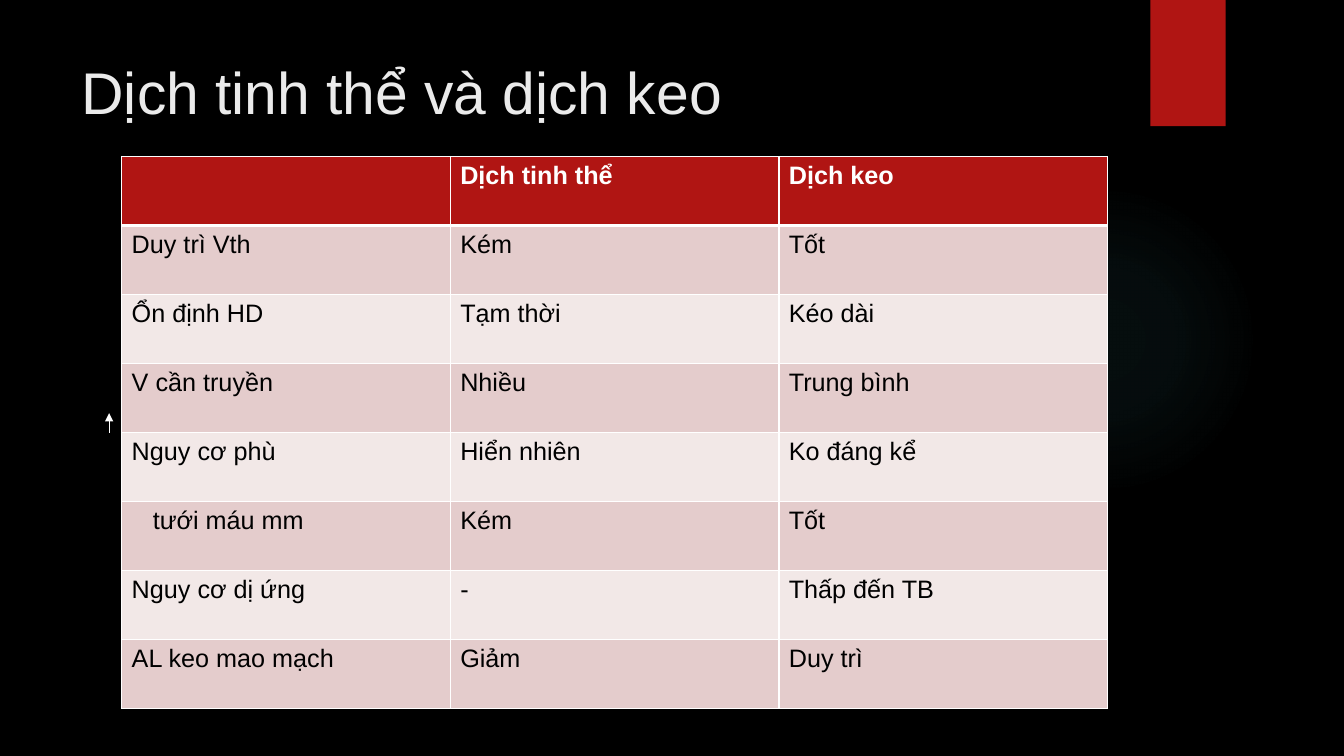
from lxml import etree
from pptx import Presentation
from pptx.dml.color import RGBColor
from pptx.enum.shapes import MSO_CONNECTOR, MSO_SHAPE
from pptx.enum.text import MSO_ANCHOR, MSO_AUTO_SIZE, PP_ALIGN
from pptx.oxml import parse_xml
from pptx.oxml.ns import nsdecls, qn
from pptx.util import Cm, Pt

STRAIGHT = MSO_CONNECTOR.STRAIGHT
ELLIPSE, RECTANGLE = MSO_SHAPE.OVAL, MSO_SHAPE.RECTANGLE
TOP, LEFT = MSO_ANCHOR.TOP, PP_ALIGN.LEFT
NO_AUTOFIT = MSO_AUTO_SIZE.NONE

TITLE = "Dịch tinh thể và dịch keo"
ROWS = [
    ("", "Dịch tinh thể", "Dịch keo"),
    ("Duy trì Vth", "Kém", "Tốt"),
    ("Ổn định HD", "Tạm thời", "Kéo dài"),
    ("V cần truyền", "Nhiều", "Trung bình"),
    ("Nguy cơ phù", "Hiển nhiên", "Ko đáng kể"),
    ("tưới máu mm", "Kém", "Tốt"),
    ("Nguy cơ dị ứng", "-", "Thấp đến TB"),
    ("AL keo mao mạch", "Giảm", "Duy trì"),
]
INDENTED = "tưới máu mm"

FONT = "Arial"
BLACK, WHITE, RED, PALE = "000000", "FFFFFF", "B01513", "EBEBEB"
BANDS = ["F2E8E7", "E4CCCC"]
GLOW = "50B9C1"
GLOW_STOPS = [(0, 7), (36, 6), (69, 0)]  # position and opacity, percent

COLUMN_WIDTH, ROW_HEIGHT = 8.28, 1.74
THIN, THICK = 1, 3


def color(hex_text):
    return RGBColor.from_string(hex_text)


def add_run(para, text, size, hex_text, bold=False):
    span = para.add_run()
    span.text = text
    span.font.name = FONT
    span.font.size = Pt(size)
    span.font.bold = bold
    span.font.color.rgb = color(hex_text)


def add_plain_shape(page, kind, left, top, width, height):
    shape = page.shapes.add_shape(kind, Cm(left), Cm(top), Cm(width), Cm(height))
    shape.shadow.inherit = False
    shape.line.fill.background()
    return shape


def add_glow(page):
    glow = add_plain_shape(page, ELLIPSE, 23.9, 4.65, 7.82, 7.82)
    glow.fill.background()
    stops = "".join(
        f'<a:gs pos="{position * 1000}"><a:srgbClr val="{GLOW}">'
        f'<a:alpha val="{opacity * 1000}"/></a:srgbClr></a:gs>'
        for position, opacity in GLOW_STOPS
    )
    gradient = parse_xml(
        f'<a:gradFill {nsdecls("a")}><a:gsLst>{stops}</a:gsLst><a:path path="circle">'
        '<a:fillToRect l="50000" t="50000" r="50000" b="50000"/></a:path></a:gradFill>'
    )
    properties = glow._element.spPr
    properties.replace(properties.find(qn("a:noFill")), gradient)


def set_borders(cell, top, bottom):
    sides = [("lnL", THIN), ("lnR", THIN), ("lnT", top), ("lnB", bottom)]
    for index, (side, points) in enumerate(sides):
        border = parse_xml(
            f'<a:{side} {nsdecls("a")} w="{Pt(points)}"><a:solidFill>'
            f'<a:srgbClr val="{WHITE}"/></a:solidFill></a:{side}>'
        )
        cell._tc.get_or_add_tcPr().insert(index, border)


def add_comparison(page):
    columns = len(ROWS[0])
    table = page.shapes.add_table(
        len(ROWS), columns, Cm(3.07), Cm(3.94),
        Cm(COLUMN_WIDTH * columns), Cm(ROW_HEIGHT * len(ROWS)),
    ).table
    for column in table.columns:
        column.width = Cm(COLUMN_WIDTH)
    for r, texts in enumerate(ROWS):
        table.rows[r].height = Cm(ROW_HEIGHT)
        header = r == 0
        for c, text in enumerate(texts):
            cell = table.cell(r, c)
            cell.fill.solid()
            cell.fill.fore_color.rgb = color(RED if header else BANDS[r % 2])
            set_borders(cell, THICK if r == 1 else THIN, THICK if header else THIN)
            cell.margin_left = Cm(0.78 if text == INDENTED else 0.25)
            if text:
                para = cell.text_frame.paragraphs[0]
                add_run(para, text, 18, WHITE if header else BLACK, header)


def add_up_arrow(page):
    arrow = page.shapes.add_connector(STRAIGHT, Cm(2.75), Cm(10.9), Cm(2.75), Cm(10.41))
    arrow.line.color.rgb = color(WHITE)
    arrow.line.width = Pt(0.75)
    etree.SubElement(arrow.line._get_or_add_ln(), qn("a:tailEnd"), type="triangle")
    etree.SubElement(arrow._element.spPr, qn("a:effectLst"))


def main():
    deck = Presentation()
    deck.slide_width, deck.slide_height = Cm(33.87), Cm(19.05)
    page = deck.slides.add_slide(deck.slide_layouts.get_by_name("Title Only"))
    page.background.fill.solid()
    page.background.fill.fore_color.rgb = color(BLACK)

    add_glow(page)
    ribbon = add_plain_shape(page, RECTANGLE, 28.99, 0, 1.9, 3.18)
    ribbon.fill.solid()
    ribbon.fill.fore_color.rgb = color(RED)

    title = page.shapes.title
    title.left, title.top = Cm(1.8), Cm(1.27)
    title.width, title.height = Cm(26.14), Cm(3.89)
    frame = title.text_frame
    frame.word_wrap = True
    frame.auto_size = NO_AUTOFIT
    frame.vertical_anchor = TOP
    frame.paragraphs[0].alignment = LEFT
    add_run(frame.paragraphs[0], TITLE, 42, PALE)

    add_comparison(page)
    add_up_arrow(page)
    deck.save("out.pptx")


if __name__ == "__main__":
    main()
